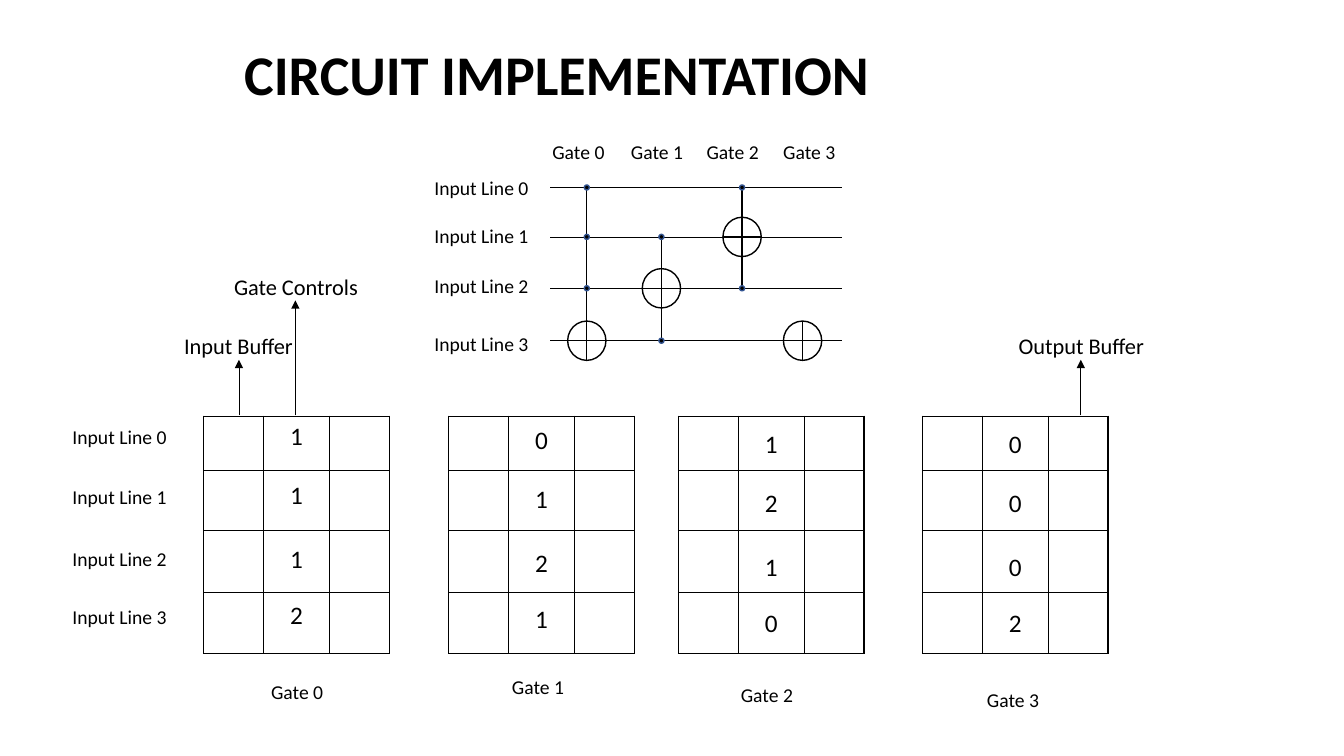
from lxml import etree
from pptx import Presentation
from pptx.dml.color import RGBColor
from pptx.enum.shapes import MSO_CONNECTOR, MSO_SHAPE
from pptx.enum.text import MSO_ANCHOR, MSO_AUTO_SIZE, PP_ALIGN
from pptx.oxml.ns import qn
from pptx.util import Inches, Pt

CELL = 0.1  # side of a grid cell in inches: 133.3 columns by 75 rows
BLACK, WHITE, DOT_EDGE = "000000", "FFFFFF", "325491"


def grid(*counts):
    return [Inches(n * CELL) for n in counts]


def colour(hex_text):
    return RGBColor.from_string(hex_text)


class Board:
    """Holds the style and the slide; all lengths are grid columns and rows."""
    font = "Calibri"
    thin, thick = 0.5, 1

    def __init__(self, slide):
        self.slide = slide

    def set_text(self, frame, text, size, align=PP_ALIGN.CENTER, bold=False):
        paragraph = frame.paragraphs[0]
        paragraph.alignment = align
        run = paragraph.add_run()
        run.text = text
        run.font.name, run.font.size, run.font.bold = self.font, Pt(size), bold
        run.font.color.rgb = colour(BLACK)

    def title(self, text, left, top, width, height):
        title = self.slide.shapes.title
        title.left, title.top, title.width, title.height = grid(left, top, width, height)
        frame = title.text_frame
        frame.auto_size = MSO_AUTO_SIZE.NONE
        frame.vertical_anchor = MSO_ANCHOR.MIDDLE
        self.set_text(frame, text, 40, bold=True)

    def label(self, text, left, top, width, height=3.4, size=14,
              align=PP_ALIGN.LEFT, wrap=False):
        box = self.slide.shapes.add_textbox(*grid(left, top, width, height))
        box.text_frame.word_wrap = wrap
        self.set_text(box.text_frame, text, size, align)

    def line(self, x1, y1, x2, y2, width=thin, arrow=False):
        line = self.slide.shapes.add_connector(
            MSO_CONNECTOR.STRAIGHT, *grid(x1, y1, x2, y2))
        line.line.color.rgb, line.line.width = colour(BLACK), Pt(width)
        properties = line._element.spPr
        if arrow:
            etree.SubElement(properties.find(qn("a:ln")), qn("a:tailEnd"), type="triangle")
        etree.SubElement(properties, qn("a:effectLst"))

    def node(self, kind, x, y, width, height, edge, fill=None):
        """Draws a shape centred on (x, y)."""
        node = self.slide.shapes.add_shape(
            kind, *grid(x - width / 2, y - height / 2, width, height))
        node.shadow.inherit = False
        node.line.color.rgb, node.line.width = colour(edge), Pt(self.thick)
        if fill:
            node.fill.solid()
            node.fill.fore_color.rgb = colour(fill)
        else:
            node.fill.background()

    def border(self, cell, edges):
        """Takes a side -> is-outer mapping in the order L, R, T, B."""
        properties = cell._tc.get_or_add_tcPr()
        for place, (side, outer) in enumerate(edges.items()):
            width = Pt(self.thick if outer else self.thin)
            line = etree.Element(qn("a:ln" + side), w=str(int(width)))
            fill = etree.SubElement(line, qn("a:solidFill"))
            etree.SubElement(fill, qn("a:srgbClr"), val=BLACK)
            properties.insert(place, line)

    def table(self, left, top, widths, heights, values, drops):
        """Puts the values in the middle column, each dropped from its row's top."""
        rows, columns = len(heights), len(widths)
        table = self.slide.shapes.add_table(
            rows, columns, *grid(left, top, sum(widths), sum(heights))).table
        table.first_row = table.horz_banding = False
        for column, width in zip(table.columns, grid(*widths)):
            column.width = width
        for r, height in enumerate(grid(*heights)):
            table.rows[r].height = height
            for c in range(columns):
                cell = table.cell(r, c)
                cell.fill.solid()
                cell.fill.fore_color.rgb = colour(WHITE)
                if c == 1:
                    cell.margin_top, cell.margin_bottom = grid(drops[r], 0)
                    self.set_text(cell.text_frame, str(values[r]), 18)
                self.border(cell, {"L": c == 0, "R": c == columns - 1,
                                   "T": r == 0, "B": r == rows - 1})


prs = Presentation()
prs.slide_width, prs.slide_height = Inches(13.33), Inches(7.5)
board = Board(prs.slides.add_slide(prs.slide_layouts[5]))
board.title("CIRCUIT IMPLEMENTATION", 15.7, 3.4, 79, 7.7)

# Control of each gate on lines 0 to 3: 0 unused, 1 control, 2 target
CONTROL, TARGET = 1, 2
GATES = [(1, 1, 1, 2), (0, 1, 2, 1), (1, 2, 1, 0), (0, 0, 0, 2)]

# Circuit: wires and their labels
wire_rows = [18.6, 23.5, 28.6, 33.8]
for i, (y, label_top) in enumerate(zip(wire_rows, [17, 21.7, 26.7, 32.4])):
    board.line(54.6, y, 83.5, y)
    board.label(f"Input Line {i}", 42.1, label_top, 11.5)

# Circuit: gates, each a stem with control dots and a target
gate_columns = [58.2, 65.6, 73.6, 79.6]
gate_labels = [53.8, 61.6, 69.1, 76.7]
for i, (x, label_left, controls) in enumerate(zip(gate_columns, gate_labels, GATES)):
    used = [y for y, control in zip(wire_rows, controls) if control]
    if len(used) > 1:
        board.line(x, used[-1], x, used[0], board.thick)
    for y, control in zip(wire_rows, controls):
        if control == TARGET:
            board.node(MSO_SHAPE.FLOWCHART_OR, x, y, 3.8, 3.9, BLACK)
        elif control == CONTROL:
            board.node(MSO_SHAPE.OVAL, x, y, 0.5, 0.5, DOT_EDGE, BLACK)
    board.label(f"Gate {i}", label_left, 13.4, 7.3)

# Buffers: one table per gate, as (left, extra drop, label left, label top)
TABLE_TOP = 41.3
row_heights = [5.4, 5.9, 6.2, 6]
row_drops = [0.5, 1, 1.4, 0.8]
tables = [(20.2, 0, 25.9, 67), (44.5, 0.4, 49.8, 66.5),
          (67.3, 0.8, 72.5, 67.3), (91.5, 0.8, 96.9, 67.8)]
for i, (left, extra, label_left, label_top) in enumerate(tables):
    board.table(left, TABLE_TOP, [5.9, 6.6, 5.9], row_heights, GATES[i],
                [drop + extra for drop in row_drops])
    board.label(f"Gate {i}", label_left, label_top, 7.3)

# Buffers: row labels
for i, label_top in enumerate([41.7, 47.6, 53.8, 59.5]):
    board.label(f"Input Line {i}", 6.2, label_top, 11.5)

# Callouts above the tables
for text, left, top, arrow_x in [("Input Buffer", 15.7, 32.5, 23.7),
                                 ("Gate Controls", 21.4, 26.6, 29.3),
                                 ("Output Buffer", 99.3, 32.5, 107.2)]:
    board.line(arrow_x, TABLE_TOP - 0.1, arrow_x, top + 3.2, arrow=True)
    board.label(text, left, top, 15.9, 3.7, 16, PP_ALIGN.CENTER, wrap=True)

prs.save("out.pptx")
